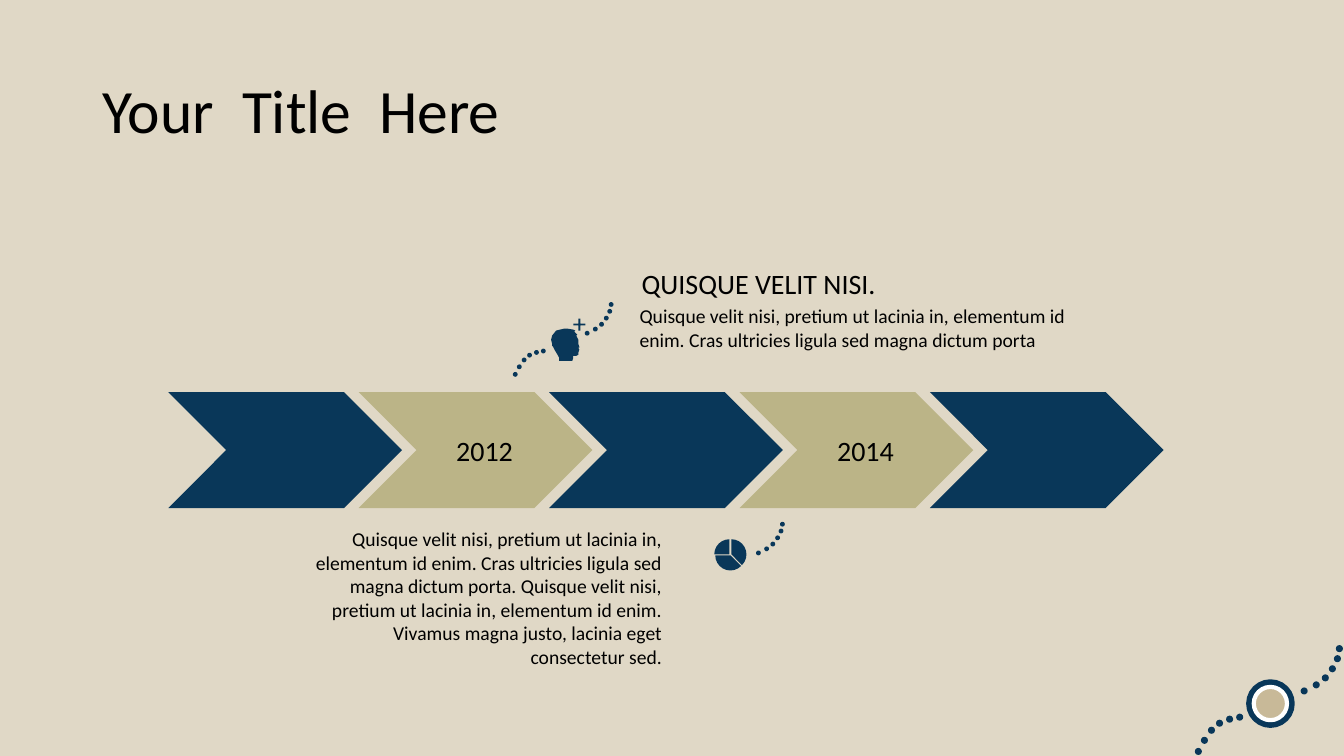
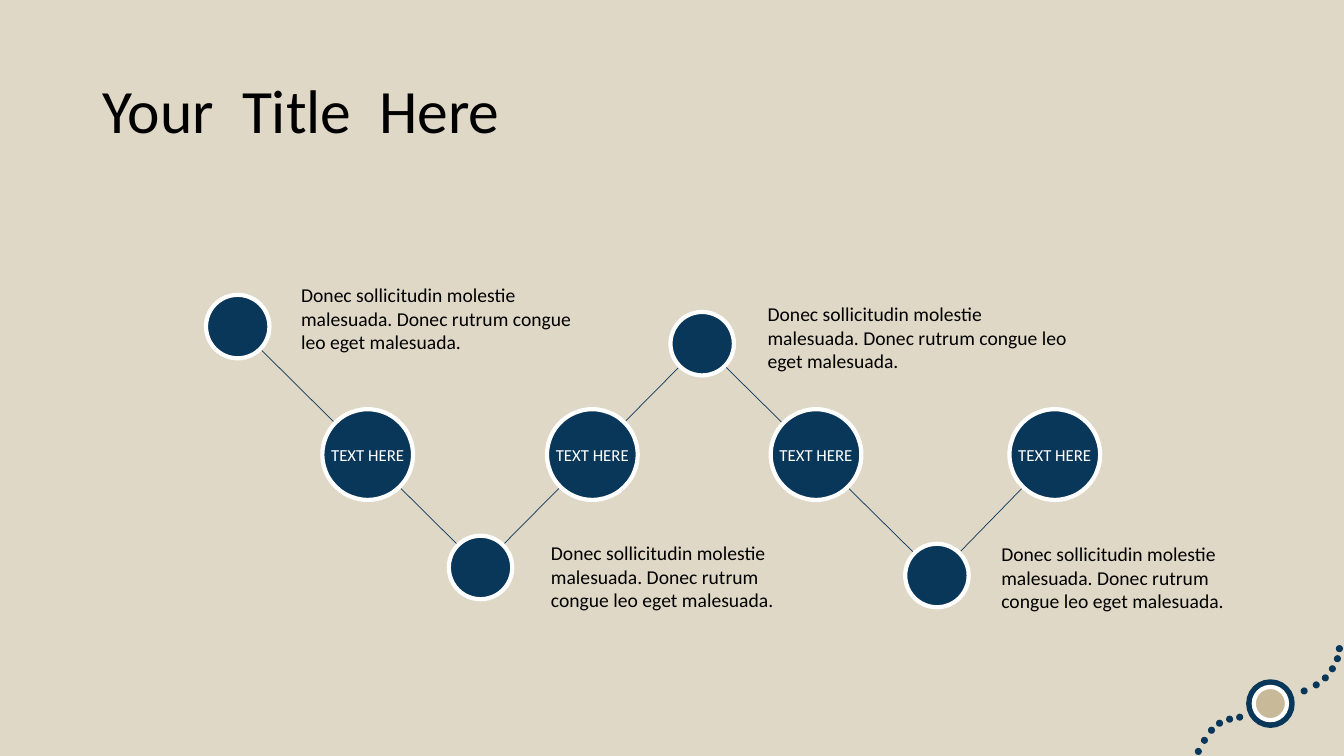
from dataclasses import dataclass

from lxml import etree
from pptx import Presentation
from pptx.dml.color import RGBColor
from pptx.enum.shapes import MSO_CONNECTOR, MSO_SHAPE as SHAPE
from pptx.enum.text import MSO_ANCHOR as ANCHOR, MSO_AUTO_SIZE, PP_ALIGN as ALIGN
from pptx.oxml.ns import qn
from pptx.util import Inches, Pt


@dataclass(frozen=True)
class Theme:
    font: str = "Calibri"
    sand: str = "E0D8C6"
    navy: str = "093759"
    olive: str = "BBB487"
    tan: str = "C8B998"
    white: str = "FFFFFF"
    black: str = "000000"
    title_size: int = 44
    heading_size: int = 20
    body_size: int = 14
    label_size: int = 12
    thick_line: float = 4.5
    ring_line: float = 3
    thin_line: float = 0.5


THEME = Theme()

# Trail of dots: offsets of each dot from the lowest one, right and up
TRAIL = [
    (0, 0), (0.06, 0.11), (0.13, 0.21), (0.21, 0.28), (0.31, 0.32), (0.41, 0.34),
    (1.05, 0.6), (1.17, 0.66), (1.26, 0.73), (1.33, 0.82), (1.38, 0.92), (1.4, 1.02),
]
UPPER_TRAIL = TRAIL[6:]
DOT_SIZE = 0.07
ICON_SCALE = 0.68

# Head outline in hundredths of an inch
HEAD = [
    (575, 344), (574, 341), (574, 337), (572, 333), (573, 332), (570, 329),
    (571, 328), (569, 327), (563, 326), (560, 326), (552, 328), (548, 333),
    (547, 337), (548, 341), (548, 343), (549, 344), (551, 348), (554, 353),
    (555, 355), (555, 358), (568, 358), (569, 355), (569, 353), (571, 353),
    (572, 353), (574, 352), (574, 350), (575, 347), (574, 345), (575, 345),
]

QUISQUE = ("Quisque velit nisi, pretium ut lacinia in, elementum id enim. "
           "Cras ultricies ligula sed magna dictum porta")
VIVAMUS = (". Quisque velit nisi, pretium ut lacinia in, elementum id enim. "
           "Vivamus magna justo, lacinia eget consectetur sed.")
DONEC = "Donec sollicitudin molestie malesuada. Donec rutrum congue leo eget malesuada."


def color(code):
    return RGBColor.from_string(code)


def paint(shape, fill, line=None, width=0):
    shape.shadow.inherit = False
    shape.fill.solid()
    shape.fill.fore_color.rgb = color(fill)
    if line:
        shape.line.color.rgb = color(line)
        shape.line.width = Pt(width)
    else:
        shape.line.fill.background()


def add_preset(shapes, kind, left, top, width, height, fill, line=None, line_width=0):
    shape = shapes.add_shape(kind, Inches(left), Inches(top), Inches(width), Inches(height))
    paint(shape, fill, line, line_width)
    return shape


def add_circle(shapes, center, diameter, fill, line=None, line_width=0):
    x, y = center
    return add_preset(shapes, SHAPE.OVAL, x - diameter / 2, y - diameter / 2,
                      diameter, diameter, fill, line, line_width)


def write(frame, text, size, ink=THEME.black, align=ALIGN.LEFT):
    paragraph = frame.paragraphs[0]
    paragraph.alignment = align
    run = paragraph.add_run()
    run.text = text
    run.font.name = THEME.font
    run.font.size = Pt(size)
    run.font.color.rgb = color(ink)
    return paragraph


def add_text(slide, left, top, width, height, text, size, align=ALIGN.LEFT):
    box = slide.shapes.add_textbox(Inches(left), Inches(top), Inches(width), Inches(height))
    frame = box.text_frame
    frame.word_wrap = True
    frame.auto_size = MSO_AUTO_SIZE.SHAPE_TO_FIT_TEXT
    write(frame, text, size, align=align)
    return frame


def add_title(slide, text):
    frame = add_text(slide, 0.92, 0.4, 11.5, 1.45, text, THEME.title_size)
    frame.auto_size = MSO_AUTO_SIZE.NONE
    frame.vertical_anchor = ANCHOR.MIDDLE
    frame.paragraphs[0].line_spacing = 0.9


def add_trail(shapes, left, top, scale=1.0, offsets=TRAIL):
    """Draw dots; left and top belong to the lowest dot of the full trail."""
    size = DOT_SIZE * scale
    for right, up in offsets:
        add_preset(shapes, SHAPE.OVAL, left + right * scale, top - up * scale,
                   size, size, THEME.navy)


def add_corner_ornament(slide):
    shapes = slide.shapes.add_group_shape().shapes
    add_trail(shapes, 11.86, 7.42)
    center = (12.61, 6.98)
    add_circle(shapes, center, 0.42, THEME.white, THEME.navy, THEME.thick_line)
    add_circle(shapes, center, 0.33, THEME.tan, THEME.white, THEME.ring_line)


def add_head_icon(slide):
    shapes = slide.shapes.add_group_shape().shapes
    outline = shapes.build_freeform(*HEAD[0], scale=Inches(0.01))
    outline.add_line_segments(HEAD[1:], close=True)
    paint(outline.convert_to_shape(), THEME.navy)
    plus = add_preset(shapes, SHAPE.CROSS, 5.69, 3.16, 0.12, 0.12, THEME.navy)
    plus.adjustments[0] = 0.42
    add_trail(shapes, 5.09, 3.69, ICON_SCALE)


def add_pie_icon(slide):
    shapes = slide.shapes.add_group_shape().shapes
    wedges = [  # apex, start and end angle, clockwise from the right
        (7.26, 5.5, 270, 45),
        (7.25, 5.51, 45, 180),
        (7.24, 5.5, 180, 270),
    ]
    for x, y, start, end in wedges:
        wedge = add_preset(shapes, SHAPE.PIE, x - 0.15, y - 0.15, 0.3, 0.3, THEME.navy)
        for index, angle in enumerate((start, end)):
            wedge.adjustments[index] = angle * 0.6  # 60000 units a degree over 100000
    add_trail(shapes, 6.79, 5.87, ICON_SCALE, UPPER_TRAIL)


def add_chevron(slide, left, fill, year):
    chevron = add_preset(slide.shapes, SHAPE.CHEVRON, left, 3.89, 2.32, 1.15, fill)
    if year:
        frame = chevron.text_frame
        frame.margin_left = Inches(0.28)
        frame.vertical_anchor = ANCHOR.MIDDLE
        write(frame, year, THEME.heading_size, align=ALIGN.CENTER)


def add_link(slide, start, end):
    link = slide.shapes.add_connector(MSO_CONNECTOR.STRAIGHT,
                                      *(Inches(value) for value in start + end))
    link.line.color.rgb = color(THEME.navy)
    link.line.width = Pt(THEME.thin_line)
    etree.SubElement(link._element.spPr, qn("a:effectLst"))


def add_node(slide, center, diameter, label=None):
    node = add_circle(slide.shapes, center, diameter, THEME.navy,
                      THEME.white, THEME.ring_line)
    if label:
        frame = node.text_frame
        frame.word_wrap = False
        frame.vertical_anchor = ANCHOR.MIDDLE
        write(frame, label, THEME.label_size, THEME.white, ALIGN.CENTER)


def new_slide(deck, title):
    slide = deck.slides.add_slide(deck.slide_layouts[6])
    add_corner_ornament(slide)
    add_title(slide, title)
    return slide


def build_timeline(deck):
    slide = new_slide(deck, "Your  Title  Here")
    for index, year in enumerate([None, "2012", None, "2014", None]):
        add_chevron(slide, 1.67 + 1.89 * index, THEME.olive if year else THEME.navy, year)
    add_pie_icon(slide)
    add_head_icon(slide)
    add_text(slide, 3.02, 5.18, 3.65, 1.5, QUISQUE + VIVAMUS, THEME.body_size, ALIGN.RIGHT)
    add_text(slide, 6.27, 2.59, 2.59, 0.44, "QUISQUE VELIT NISI.", THEME.heading_size)
    add_text(slide, 6.25, 2.97, 4.47, 0.57, QUISQUE, THEME.body_size)


def build_zigzag(deck):
    slide = new_slide(deck, "Your  Title  Here")
    turns = [(2.36, 3.24), (4.77, 5.63), (6.97, 3.41), (9.3, 5.71)]
    stops = [(x, 4.51) for x in (3.65, 5.88, 8.1, 10.47)]
    route = turns + stops[-1:]
    for start, end in zip(route, route[1:]):
        add_link(slide, start, end)
    for turn, stop in zip(turns, stops):
        add_node(slide, turn, 0.63)
        add_node(slide, stop, 0.9, "TEXT HERE")
    captions = [(2.89, 2.76, 3.14), (5.37, 5.32, 2.48), (7.52, 2.95, 3.18), (9.84, 5.33, 2.48)]
    for left, top, width in captions:
        add_text(slide, left, top, width, 0.8, DONEC, THEME.body_size)


def main():
    deck = Presentation()
    deck.slide_width, deck.slide_height = Inches(13.34), Inches(7.5)
    backdrop = deck.slide_master.background.fill
    backdrop.solid()
    backdrop.fore_color.rgb = color(THEME.sand)
    build_timeline(deck)
    build_zigzag(deck)
    deck.save("out.pptx")


if __name__ == "__main__":
    main()
